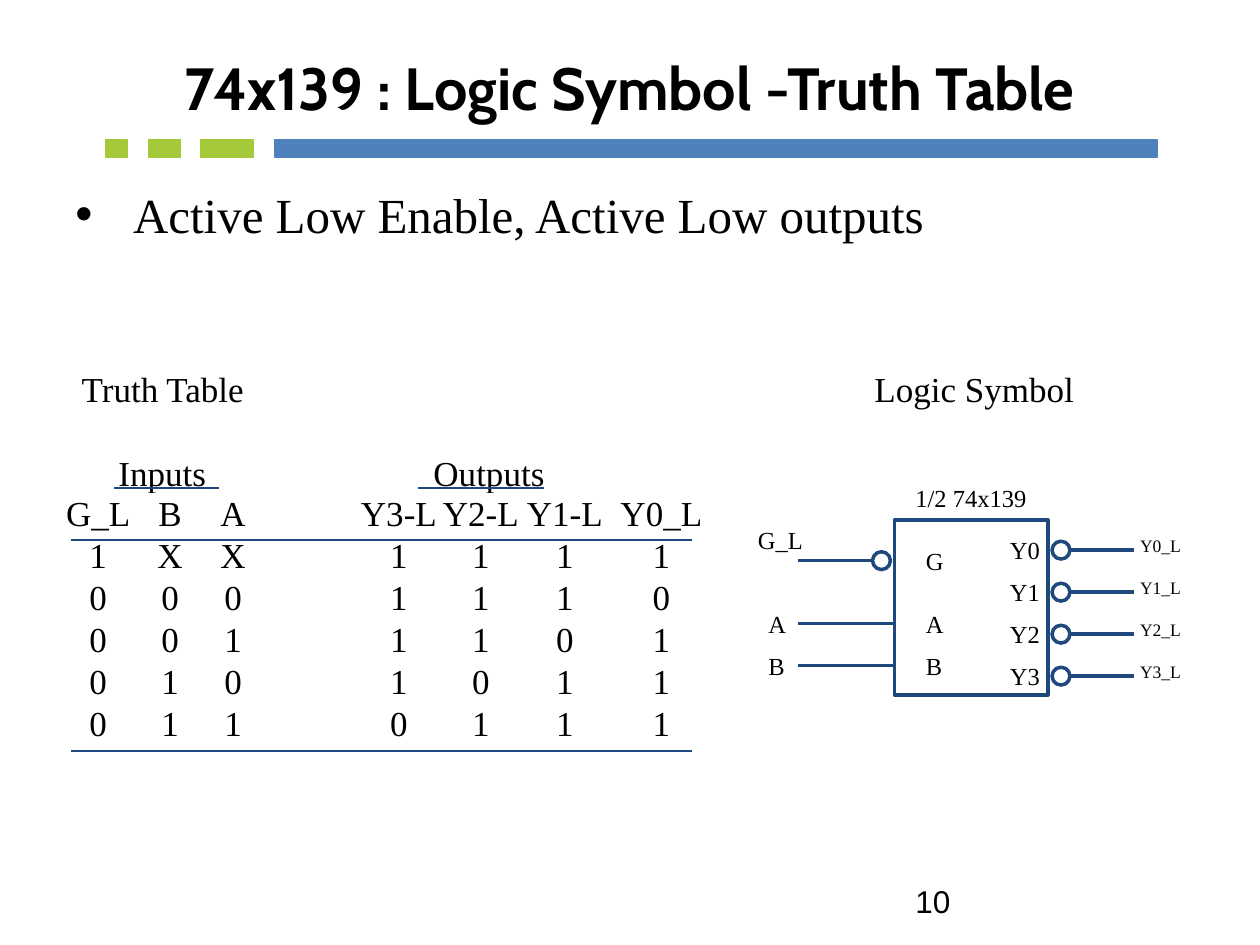
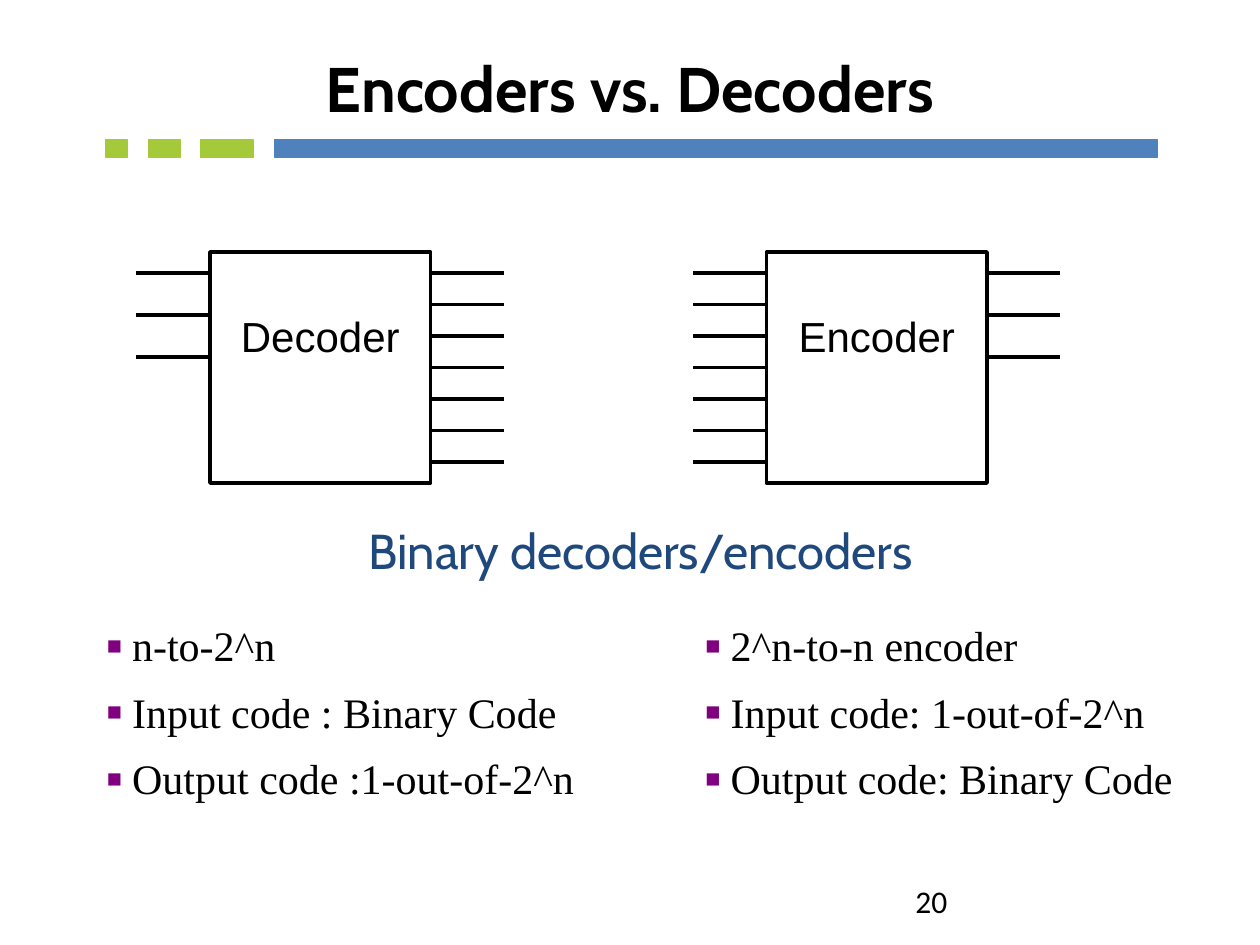
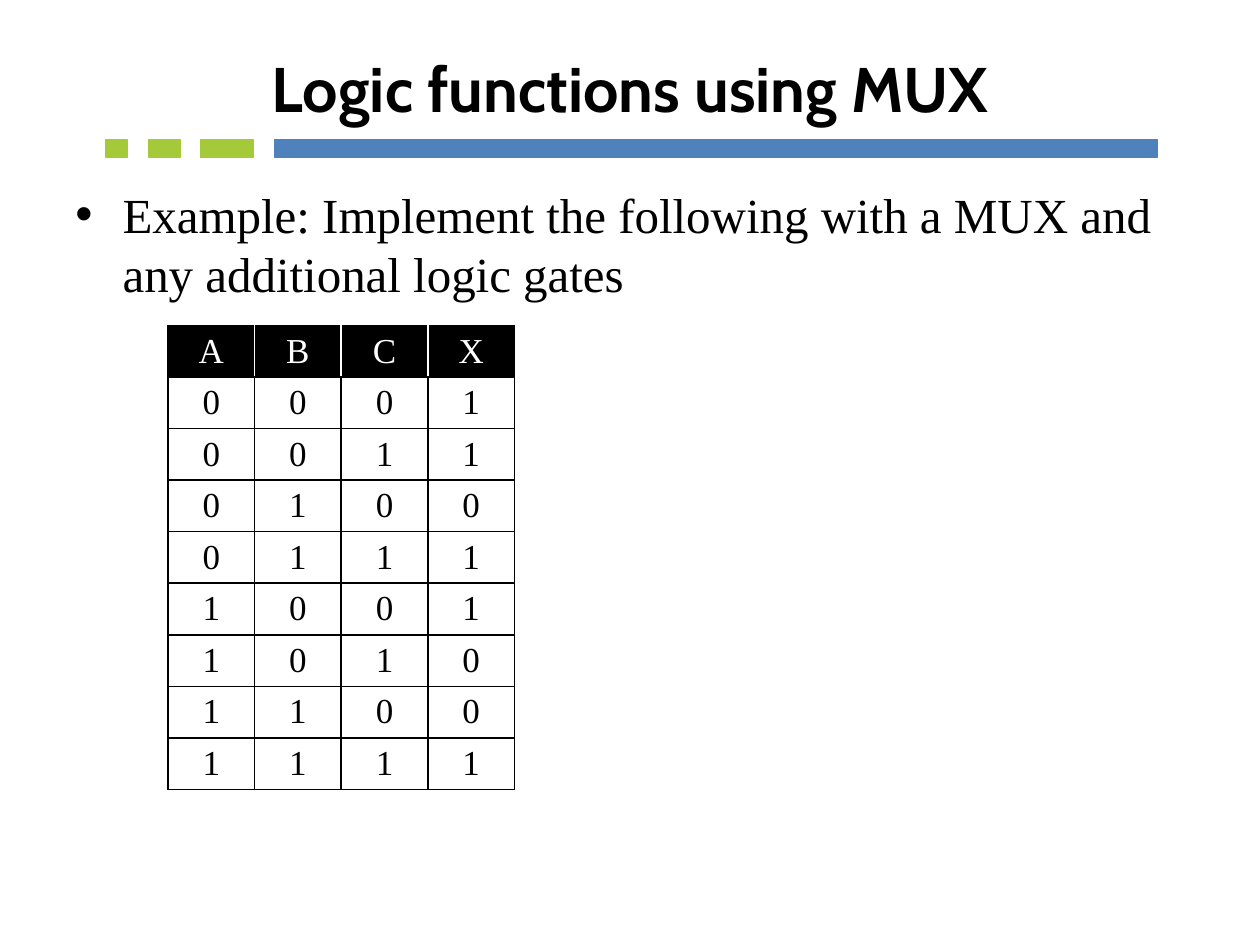
from dataclasses import dataclass

from lxml import etree
from pptx import Presentation, util as u
from pptx.dml.color import RGBColor
from pptx.enum import shapes, text
from pptx.oxml import ns

COLUMNS, ROWS = 120, 90
CELL = u.Inches(10) / COLUMNS


class Theme:
    BLACK, WHITE = "000000", "FFFFFF"
    NAVY, BLUE, GREEN, PURPLE = "1F497D", "4F81BD", "A4CA39", "800080"
    SERIF, SANS, HEADING = "Times New Roman", "Arial", "Cabin"
    TITLE = {"name": HEADING, "size": u.Pt(36), "bold": True}
    LONG_TITLE = {**TITLE, "size": u.Pt(34)}
    SUBTITLE = {"name": HEADING, "size": u.Pt(28)}
    BODY = {"name": SERIF, "size": u.Pt(28)}
    LIST = {"name": SERIF, "size": u.Pt(24)}
    TABLE = {"name": SERIF, "size": u.Pt(20)}
    PIN = {"name": SERIF, "size": u.Pt(14)}
    SIGNAL = {"name": SERIF, "size": u.Pt(10)}
    BLOCK = {"name": SANS, "size": u.Pt(24)}
    NUMBER = {"name": SANS, "size": u.Pt(18)}
    THIN, RULE, WIRE = u.Pt(0.75), u.Pt(1), u.Pt(2)


@dataclass
class Box:
    """An area in grid columns and rows."""
    left: float
    top: float
    width: float
    height: float

    @property
    def right(self):
        return self.left + self.width

    def inside(self, left, top, width, height):
        return Box(self.left + left, self.top + top, width, height)

    def lengths(self):
        return [grid(value) for value in (self.left, self.top, self.width, self.height)]


TITLE_BOX = Box(6, 3.6, 108, 9.4)
BAND_BOX = Box(10.1, 13.3, 100.1, 1.7)
BODY_BOX = Box(6, 17, 108, 63.4)
NUMBER_BOX = Box(86, 83.4, 28, 4.8)


def grid(value):
    return u.Emu(round(value * CELL))


def apply(target, values):
    for name, value in values.items():
        setattr(target, name, value)


def style_paragraph(paragraph, style, color, align=text.PP_ALIGN.LEFT):
    paragraph.alignment = align
    apply(paragraph.font, style)
    paragraph.font.color.rgb = RGBColor.from_string(color)


def add_bullet(paragraph, symbol, indent, color=None, percent=None):
    properties = paragraph._p.get_or_add_pPr()
    properties.set("marL", str(grid(indent)))
    properties.set("indent", str(-grid(indent)))
    if color:
        holder = etree.SubElement(properties, ns.qn("a:buClr"))
        etree.SubElement(holder, ns.qn("a:srgbClr"), val=color)
    if percent:
        etree.SubElement(properties, ns.qn("a:buSzPct"), val=str(percent * 1000))
    etree.SubElement(properties, ns.qn("a:buFont"), typeface=Theme.SANS)
    etree.SubElement(properties, ns.qn("a:buChar"), char=symbol)


def add_text(slide, box, lines, style, color=Theme.BLACK, align=text.PP_ALIGN.LEFT,
             anchor=text.MSO_ANCHOR.TOP, bullet=None, spacing=None):
    frame = slide.shapes.add_textbox(*box.lengths()).text_frame
    apply(frame, {"word_wrap": True, "vertical_anchor": anchor})
    for index, line in enumerate(lines):
        paragraph = frame.add_paragraph() if index else frame.paragraphs[0]
        paragraph.text = line
        if spacing:
            paragraph.line_spacing = spacing
        if index:
            paragraph.space_before = style["size"] // 2
        if bullet:
            add_bullet(paragraph, **bullet)
        style_paragraph(paragraph, style, color, align)


def add_label(slide, left, top, label, style, width=7):
    add_text(slide, Box(left, top, width, 4), [label], style)


def add_preset(slide, box, kind, line, width, fill=None):
    shape = slide.shapes.add_shape(kind, *box.lengths())
    shape.shadow.inherit = False
    if fill:
        shape.fill.solid()
        shape.fill.fore_color.rgb = RGBColor.from_string(fill)
    else:
        shape.fill.background()
    shape.line.color.rgb = RGBColor.from_string(line)
    shape.line.width = width


def add_wire(slide, start, end, row, color, width=Theme.WIRE):
    wire = slide.shapes.add_connector(
        shapes.MSO_CONNECTOR.STRAIGHT, grid(start), grid(row), grid(end), grid(row))
    wire.line.color.rgb = RGBColor.from_string(color)
    wire.line.width = width
    etree.SubElement(wire._element.spPr, ns.qn("a:effectLst"))


def add_table(slide, box, rows, widths, margin):
    table = slide.shapes.add_table(len(rows), len(widths), *box.lengths()).table
    apply(table, {"first_row": False, "horz_banding": False})
    for column, width in zip(table.columns, widths):
        column.width = grid(width)
    for row, values in zip(table.rows, rows):
        row.height = grid(box.height / len(rows))
        for cell, value in zip(row.cells, values):
            apply(cell, {"text": value, "vertical_anchor": text.MSO_ANCHOR.MIDDLE,
                         "margin_left": 0, "margin_right": 0,
                         "margin_top": margin, "margin_bottom": margin})
            cell.fill.background()
            style_paragraph(cell.text_frame.paragraphs[0], Theme.TABLE, Theme.BLACK,
                            text.PP_ALIGN.CENTER)
    return table


def set_borders(cell, colors):
    properties = cell._tc.get_or_add_tcPr()
    for position, (side, color) in enumerate(colors.items()):
        line = etree.Element(ns.qn(f"a:ln{side}"), w=str(Theme.RULE))
        fill = etree.SubElement(line, ns.qn("a:solidFill"))
        etree.SubElement(fill, ns.qn("a:srgbClr"), val=color)
        properties.insert(position, line)


# Shared frame: title, band and slide number
def add_band(slide, box):
    bars = [(0, 2, Theme.GREEN), (4.1, 3, Theme.GREEN), (9, 5, Theme.GREEN),
            (16.1, 84, Theme.BLUE)]
    for left, width, color in bars:
        add_preset(slide, box.inside(left, 0, width, box.height),
                   shapes.MSO_SHAPE.RECTANGLE, color, Theme.THIN, color)


def start_slide(presentation, title, style=Theme.TITLE, number=None, number_font=Theme.SANS):
    slide = presentation.slides.add_slide(presentation.slide_layouts[6])
    add_band(slide, BAND_BOX)
    add_text(slide, TITLE_BOX, [title], style, align=text.PP_ALIGN.CENTER,
             anchor=text.MSO_ANCHOR.MIDDLE)
    if number:
        add_text(slide, NUMBER_BOX, [number], {**Theme.NUMBER, "name": number_font})
    return slide


def add_body(slide, line, indent):
    add_text(slide, BODY_BOX, [line], Theme.BODY, bullet={"symbol": "•", "indent": indent})


# Slide 1: truth table and logic symbol
def add_truth_table(slide, box):
    for left, top, label in [(0.6, 0, "Truth Table"), (4.1, 8, "Inputs"), (34.1, 8, "Outputs")]:
        add_label(slide, box.left + left, box.top + top, label, Theme.TABLE, width=20)
    header = ["G_L", "B", "A", "", "Y3-L", "Y2-L", "Y1-L", "Y0_L"]
    values = ["1XX 1111", "000 1110", "001 1101", "010 1011", "011 0111"]
    rows = [header] + [[value.strip() for value in row] for row in values]
    widths = [6.7, 7, 5, 9.2, 8.2, 7.4, 8.6, 9.8]
    add_table(slide, box.inside(0, 12.6, sum(widths), 24), rows, widths, 0)
    for start, end, row in [(4.9, 14.9, 12.1), (33.8, 45.8, 12.1),
                            (0.8, 59.9, 17), (0.8, 59.9, 37.1)]:
        add_wire(slide, box.left + start, box.left + end, box.top + row,
                 Theme.NAVY, Theme.RULE)


def add_logic_symbol(slide, box):
    bubble, lead = 1.7, 9.2

    def add_bubble(left, row):
        add_preset(slide, Box(left, row - bubble / 2, bubble, bubble),
                   shapes.MSO_SHAPE.OVAL, Theme.NAVY, Theme.WIRE)

    add_label(slide, box.left + 0.8, box.top - 4.1, "1/2 74x139", Theme.PIN, width=15)
    add_preset(slide, box, shapes.MSO_SHAPE.RECTANGLE, Theme.NAVY, Theme.WIRE)
    # Inputs: the enable pin is active low
    inputs = [("G", "G_L", 3.9, True), ("A", "A", 9.9, False), ("B", "B", 13.9, False)]
    for pin, signal, offset, inverted in inputs:
        row = box.top + offset
        end = box.left - 2.1 if inverted else box.left
        add_wire(slide, box.left - lead, end, row, Theme.NAVY)
        add_label(slide, box.left + 1.8, row - 2, pin, Theme.PIN)
        if inverted:
            add_bubble(end, row)
            add_label(slide, box.left - 14.2, row - 4, signal, Theme.PIN)
        else:
            add_label(slide, box.left - 13.2, row - 2, signal, Theme.PIN)
    # Outputs: all active low
    for index in range(4):
        row = box.top + 2.9 + 4 * index
        add_label(slide, box.right - 4.8, row - 2, f"Y{index}", Theme.PIN)
        add_bubble(box.right + 0.4, row)
        add_wire(slide, box.right + 2.2, box.right + 8.2, row, Theme.NAVY)
        add_label(slide, box.right + 7.6, row - 2, f"Y{index}_L", Theme.SIGNAL)


def build_truth_table_slide(presentation):
    slide = start_slide(presentation, "74x139 : Logic Symbol -Truth Table",
                        Theme.LONG_TITLE, "10")
    add_body(slide, "Active Low Enable, Active Low outputs", 5.5)
    add_truth_table(slide, Box(6, 34.4, 61, 38))
    add_label(slide, 82.1, 34.4, "Logic Symbol", Theme.TABLE, width=24)
    add_logic_symbol(slide, Box(85.2, 49.5, 14.6, 16.7))


# Slide 2: block diagrams and their codes
def add_block(slide, box, name, left_pitch, left_count, right_pitch, right_count):
    stub = 7
    add_preset(slide, box, shapes.MSO_SHAPE.RECTANGLE, Theme.BLACK, Theme.WIRE, Theme.WHITE)
    sides = [(box.left - stub, left_pitch, left_count), (box.right, right_pitch, right_count)]
    for start, pitch, count in sides:
        for index in range(count):
            add_wire(slide, start, start + stub, box.top + 2 + pitch * index, Theme.BLACK)
    add_text(slide, box.inside(0, 5, box.width, 6), [name], Theme.BLOCK,
             align=text.PP_ALIGN.CENTER)


def add_codes(slide, box, lines):
    add_text(slide, box, lines, Theme.LIST, spacing=0.9,
             bullet={"symbol": "■", "indent": 2.4, "color": Theme.PURPLE, "percent": 60})


def build_comparison_slide(presentation):
    slide = start_slide(presentation, "Encoders vs. Decoders", number="20",
                        number_font="Calibri")
    few, many = (4, 3), (3, 7)
    add_block(slide, Box(20, 24, 21, 22), "Decoder", *few, *many)
    add_block(slide, Box(73, 24, 21, 22), "Encoder", *many, *few)
    add_text(slide, Box(28, 49, 66, 6.8), ["Binary decoders/encoders"], Theme.SUBTITLE,
             Theme.NAVY, text.PP_ALIGN.CENTER)
    add_codes(slide, Box(9, 59, 52, 19),
              ["n-to-2^n", "Input code : Binary Code", "Output code :1-out-of-2^n"])
    add_codes(slide, Box(66, 59, 51, 19),
              ["2^n-to-n encoder", "Input code: 1-out-of-2^n", "Output code: Binary Code"])


# Slide 3: function table
def add_function_table(slide, box):
    rows = ["ABCX"] + [f"{index:03b}{result}" for index, result in enumerate("11011001")]
    table = add_table(slide, box, rows, [box.width / 4] * 4, u.Inches(0.03))
    for row_index, row in enumerate(table.rows):
        for column, cell in enumerate(row.cells):
            colors = dict.fromkeys("LRTB", Theme.BLACK)
            if row_index == 0:
                cell.fill.solid()
                cell.fill.fore_color.rgb = RGBColor.from_string(Theme.BLACK)
                style_paragraph(cell.text_frame.paragraphs[0], Theme.TABLE, Theme.WHITE,
                                text.PP_ALIGN.CENTER)
                if column > 0:
                    colors["L"] = Theme.WHITE
                if column < 3:
                    colors["R"] = Theme.WHITE
            set_borders(cell, colors)


def build_mux_slide(presentation):
    slide = start_slide(presentation, "Logic functions using MUX")
    add_body(slide, "Example: Implement the following with a MUX and "
                    "any additional logic gates", 4.5)
    add_function_table(slide, Box(16, 31, 33, 44.2))


def main():
    presentation = Presentation()
    presentation.slide_width = grid(COLUMNS)
    presentation.slide_height = grid(ROWS)
    build_truth_table_slide(presentation)
    build_comparison_slide(presentation)
    build_mux_slide(presentation)
    presentation.save("out.pptx")


if __name__ == "__main__":
    main()
